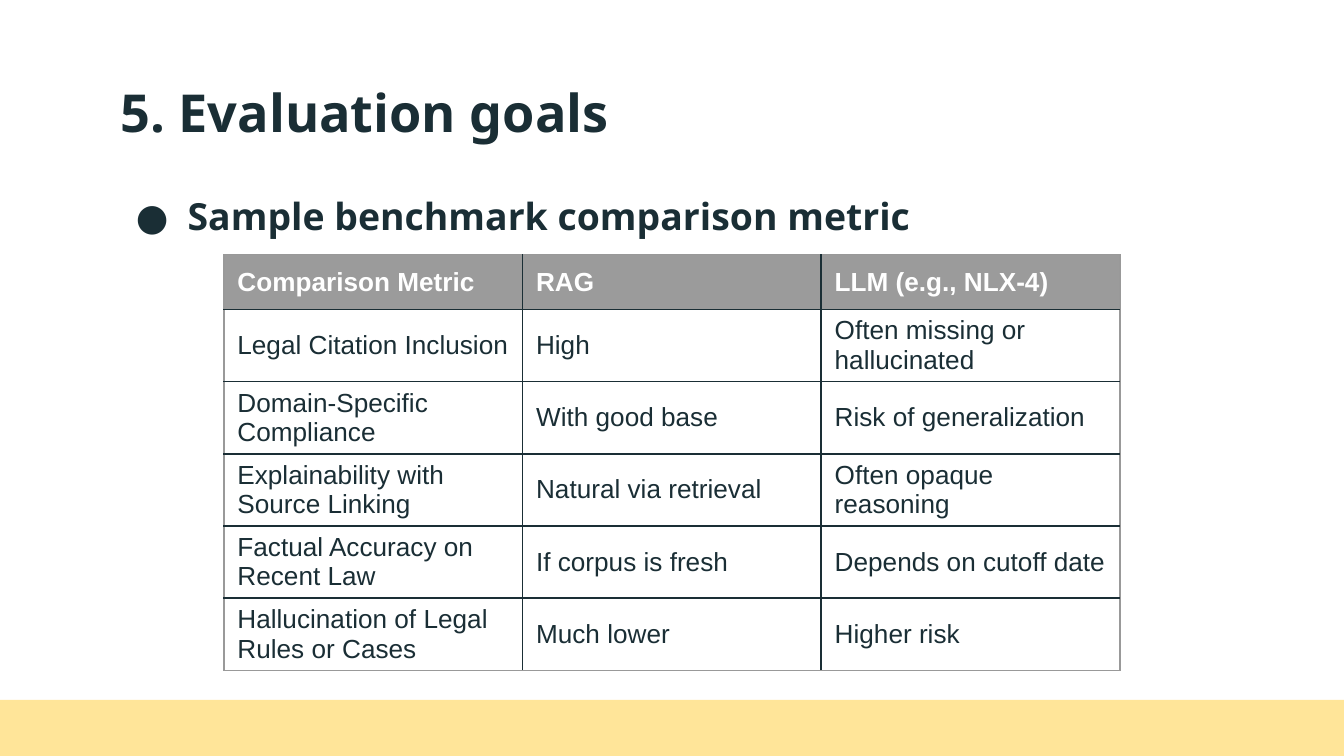
from dataclasses import dataclass

from lxml import etree
from pptx import Presentation
from pptx import util as u
from pptx.dml.color import RGBColor
from pptx.enum import shapes, text
from pptx.oxml import ns

EMU_PER_PX = 9525


@dataclass(frozen=True)
class Theme:
    ink: str = "1A2E35"
    white: str = "FFFFFF"
    band: str = "FFE599"
    header: str = "9B9B9B"
    frame: str = "999999"
    heading_font: str = "Noto Sans"
    table_font: str = "Arial"
    title_size: int = 28
    body_size: int = 20
    table_size: int = 14


@dataclass(frozen=True)
class Box:
    left: int
    top: int
    width: int
    height: int

    def emu(self) -> list[int]:
        return [px(v) for v in (self.left, self.top, self.width, self.height)]


@dataclass(frozen=True)
class Border:
    color: str
    points: float


THEME = Theme()
INNER = Border(THEME.ink, 1)
OUTER = Border(THEME.frame, 0.75)
INSET = 10

BAND = Box(0, 500, 960, 40)
TITLE = Box(76, 47, 809, 60)
BODY = Box(76, 128, 809, 359)
TABLE = Box(160, 182, 640, 234)

ROWS = [
    ("Comparison Metric", "RAG", "LLM (e.g., NLX-4)"),
    ("Legal Citation Inclusion", "High", "Often missing or hallucinated"),
    ("Domain-Specific Compliance", "With good base", "Risk of generalization"),
    ("Explainability with Source Linking", "Natural via retrieval", "Often opaque reasoning"),
    ("Factual Accuracy on Recent Law", "If corpus is fresh", "Depends on cutoff date"),
    ("Hallucination of Legal Rules or Cases", "Much lower", "Higher risk"),
]


def px(value: int) -> int:
    return u.Emu(value * EMU_PER_PX)


def write(frame, content: str, font: str, size: int, color: str, bold: bool) -> None:
    frame.text = content
    frame.word_wrap = True
    paragraph = frame.paragraphs[0]
    paragraph.alignment = text.PP_ALIGN.LEFT
    for run in paragraph.runs:
        run.font.name = font
        run.font.size = u.Pt(size)
        run.font.bold = bold
        run.font.color.rgb = RGBColor.from_string(color)


def write_heading(shape, content: str, size: int) -> None:
    frame = shape.text_frame
    write(frame, content, THEME.heading_font, size, THEME.ink, True)
    frame.auto_size = text.MSO_AUTO_SIZE.NONE
    frame.vertical_anchor = text.MSO_ANCHOR.TOP
    frame.margin_left = frame.margin_right = px(INSET)
    frame.margin_top = frame.margin_bottom = px(INSET)


def add_bullet(paragraph, color: str) -> None:
    properties = paragraph._p.get_or_add_pPr()
    properties.set("marL", str(px(48)))
    properties.set("indent", str(-px(37)))
    bullet_color = etree.SubElement(properties, ns.qn("a:buClr"))
    etree.SubElement(bullet_color, ns.qn("a:srgbClr"), val=color)
    etree.SubElement(properties, ns.qn("a:buFont"), typeface=THEME.heading_font)
    etree.SubElement(properties, ns.qn("a:buChar"), char="●")


def set_borders(cell, sides: dict[str, Border]) -> None:
    properties = cell._tc.get_or_add_tcPr()
    for index, (side, border) in enumerate(sides.items()):
        line = etree.Element(ns.qn(f"a:ln{side}"), w=str(u.Pt(border.points)))
        fill = etree.SubElement(line, ns.qn("a:solidFill"))
        etree.SubElement(fill, ns.qn("a:srgbClr"), val=border.color)
        properties.insert(index, line)


def add_band(slide) -> None:
    band = slide.shapes.add_shape(shapes.MSO_SHAPE.RECTANGLE, *BAND.emu())
    band.shadow.inherit = False
    band.fill.solid()
    band.fill.fore_color.rgb = RGBColor.from_string(THEME.band)
    band.line.fill.background()


def add_table(slide) -> None:
    row_count, column_count = len(ROWS), len(ROWS[0])
    table = slide.shapes.add_table(row_count, column_count, *TABLE.emu()).table
    for r, values in enumerate(ROWS):
        for c, value in enumerate(values):
            cell = table.cell(r, c)
            header = r == 0
            color = THEME.white if header else THEME.ink
            write(cell.text_frame, value, THEME.table_font, THEME.table_size, color, header)
            cell.vertical_anchor = text.MSO_ANCHOR.MIDDLE
            if header:
                cell.fill.solid()
                cell.fill.fore_color.rgb = RGBColor.from_string(THEME.header)
            else:
                cell.fill.background()
            set_borders(cell, {
                "L": OUTER if c == 0 else INNER,
                "R": OUTER if c == column_count - 1 else INNER,
                "T": OUTER if header else INNER,
                "B": OUTER if r == row_count - 1 else INNER,
            })


def main() -> None:
    presentation = Presentation()
    presentation.slide_width, presentation.slide_height = px(960), px(540)
    slide = presentation.slides.add_slide(presentation.slide_layouts[5])
    add_band(slide)

    title = slide.shapes.title
    title.left, title.top, title.width, title.height = TITLE.emu()
    write_heading(title, "5. Evaluation goals", THEME.title_size)

    body = slide.shapes.add_textbox(*BODY.emu())
    write_heading(body, "Sample benchmark comparison metric", THEME.body_size)
    add_bullet(body.text_frame.paragraphs[0], THEME.ink)

    add_table(slide)
    presentation.save("out.pptx")


if __name__ == "__main__":
    main()
